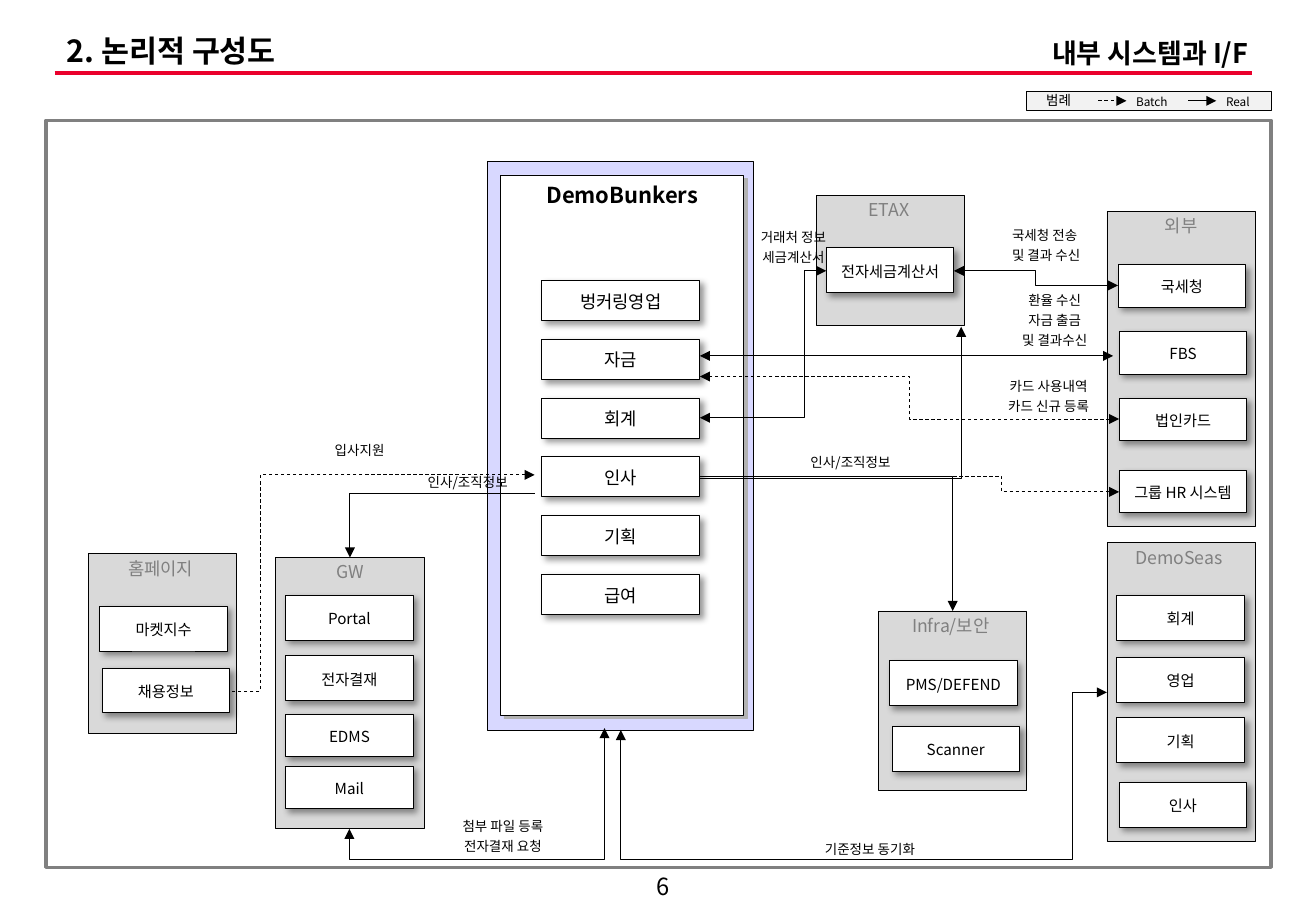
from lxml import etree
from pptx import Presentation, util as u
from pptx.dml.color import RGBColor
from pptx.enum import dml, shapes, text
from pptx.oxml.ns import qn

FONT = "Noto Sans CJK KR"
INK, GREY = "000000", "808080"
SOFT, HARD = (INK, 40, 4, 3), ("B2B2B2", 100, 0, 2.8)

PANELS = [
    ("GW", 2.27, 4.59, 2.23, [("Portal", 2.35, 4.9, .37), ("전자결재", 2.35, 5.4, .37),
                              ("EDMS", 2.35, 5.88, .35), ("Mail", 2.35, 6.31, .35)]),
    ("ETAX ", 6.72, 1.61, 1.07, [("전자세금계산서", 6.8, 2.04, .37)]),
    ("DemoSeas ", 9.11, 4.47, 2.46, [("회계", 9.19, 4.9, .37), ("영업", 9.19, 5.41, .37),
                                     ("기획", 9.19, 5.91, .37), ("인사", 9.21, 6.44, .37)]),
    ("홈페이지 ", .73, 4.56, 1.48, [("마켓지수", .82, 4.99, .37), ("채용정보", .84, 5.5, .37)]),
    ("외부", 9.11, 1.74, 2.59, [("국세청", 9.2, 2.18, .35), ("FBS", 9.21, 2.73, .35),
                              ("법인카드", 9.21, 3.28, .35), ("그룹 HR 시스템", 9.21, 3.87, .35)]),
    ("Infra/보안 ", 7.23, 5.03, 1.48, [("PMS/DEFEND", 7.32, 5.44, .37),
                                     ("Scanner", 7.34, 5.98, .37)]),
]
CORE = ["벙커링영업", "자금", "회계", "인사", "기획", "급여"]
LABELS = [
    (6.62, 6.93, "기준정보 동기화"), (6.46, 3.75, "인사/조직정보"),
    (3.31, 3.91, "인사/조직정보"), (2.42, 3.65, "입사지원"),
    (8.07, 1.88, "국세청 전송 \n및 결과 수신"), (8.14, 2.41, "환율 수신\n자금 출금\n및 결과수신"),
    (8.09, 3.12, "카드 사용내역\n카드 신규 등록"), (5.99, 1.89, "거래처 정보\n세금계산서"),
    (3.6, 6.74, "첨부 파일 등록\n전자결재 요청"),
]
BOTH, TAIL, HEAD = ("headEnd", "tailEnd"), ("tailEnd",), ("headEnd",)
LINKS = [
    ((9.04, .83, 9.27, .83), TAIL, {"dash": True}),
    ((9.78, .83, 10.01, .83), TAIL, {}),
    ((9.11, 5.7, 5.11, 6.01), BOTH, {"bend": 4, "adj": (.07, 4.45)}),
    ((5.76, 2.93, 9.16, 2.93), BOTH, {}),
    ((9.21, 3.45, 5.76, 3.1), BOTH, {"bend": 3, "adj": (.5,), "dash": True}),
    ((5.76, 3.44, 6.8, 2.23), BOTH, {"bend": 3, "adj": (.83,)}),
    ((7.85, 2.23, 9.2, 2.35), BOTH, {"bend": 3, "adj": (.5,)}),
    ((4.4, 4.06, 2.88, 4.59), TAIL, {"bend": 2}),
    ((4.4, 3.91, 1.89, 5.69), HEAD, {"bend": 3, "adj": (.9,), "dash": True}),
    ((4.34, 7.46, 3.51, 5.36), BOTH, {"bend": 3, "adj": (-.3,), "turn": 90}),
    ((5.76, 3.92, 7.84, 5.03), TAIL, {"bend": 2}),
    ((5.76, 3.92, 9.21, 4.05), TAIL, {"bend": 3, "adj": (.72,), "dash": True}),
    ((5.76, 3.94, 7.91, 2.69), TAIL, {"bend": 2}),
]

deck = Presentation()
deck.slide_width, deck.slide_height = u.Inches(10.83), u.Inches(7.5)
page = deck.slides.add_slide(deck.slide_layouts[6])
MID, TOP = text.MSO_ANCHOR.MIDDLE, text.MSO_ANCHOR.TOP
LEFT, CEN, RIGHT = text.PP_ALIGN.LEFT, text.PP_ALIGN.CENTER, text.PP_ALIGN.RIGHT


def tint(code):
    return RGBColor.from_string(code)


def node(base, tag, **vals):
    item = etree.SubElement(base, qn("a:" + tag))
    for key, val in vals.items():
        item.set(key, str(val))
    return item


def write(shape, words, size, hue=INK, bold=False, align=CEN, pad=(0, 0, 0, 0),
          anchor=TOP, lead=.9, gap=0, wrap=True):
    frame = shape.text_frame
    form = dict(zip(("margin_left", "margin_top", "margin_right", "margin_bottom"),
                    map(u.Inches, pad)), word_wrap=wrap, vertical_anchor=anchor)
    for key, val in form.items():
        setattr(frame, key, val)
    frame.text = words
    for para in frame.paragraphs:
        para.alignment, para.line_spacing, para.space_before = align, lead, u.Pt(gap)
        for key, val in dict(name=FONT, size=u.Pt(size), bold=bold).items():
            setattr(para.font, key, val)
        para.font.color.rgb = tint(hue)
        for run in para.runs:
            for tag in ("ea", "cs"):
                node(run._r.get_or_add_rPr(), tag, typeface=FONT)


def note(box, words, size, **form):
    write(page.shapes.add_textbox(*map(u.Inches, box)), words, size, **form)


def rect(box, fill=None, edge=INK, width=.5, shade=None, clear=None):
    shape = page.shapes.add_shape(shapes.MSO_SHAPE.RECTANGLE, *map(u.Inches, box))
    shape.shadow.inherit = False
    shape.line.color.rgb, shape.line.width = tint(edge), u.Pt(width)
    if fill:
        shape.fill.solid()
        shape.fill.fore_color.rgb = tint(fill)
    else:
        shape.fill.background()
    if clear:
        node(shape._element.spPr.find(".//" + qn("a:srgbClr")), "alpha", val=clear * 1000)
    if shade:
        hue, part, blur, dist = shade
        drop = node(shape._element.spPr.find(qn("a:effectLst")), "outerShdw", blurRad=u.Pt(blur),
                    dist=u.Pt(dist), dir=45 * 60000, algn="tl", rotWithShape=0)
        node(node(drop, "srgbClr", val=hue), "alpha", val=part * 1000)
    return shape


def cell(words, box, size):
    write(rect(box, "FFFFFF", shade=SOFT), words, size, pad=(.02, .08, .02, .05), anchor=MID)


def link(ends, tips=(), bend=0, adj=(), dash=False, turn=0, hue=INK, width=.5):
    kind = shapes.MSO_CONNECTOR.ELBOW if bend else shapes.MSO_CONNECTOR.STRAIGHT
    line = page.shapes.add_connector(kind, *map(u.Inches, ends))
    line.line.color.rgb, line.line.width = tint(hue), u.Pt(width)
    if dash:
        line.line.dash_style = dml.MSO_LINE.DASH
    props = line._element.spPr
    for tip in tips:
        node(props.find(qn("a:ln")), tip, type="triangle")
    node(props, "effectLst")
    if turn:
        props.find(qn("a:xfrm")).set("rot", str(turn * 60000))
    if bend:
        geom = props.find(qn("a:prstGeom"))
        geom.set("prst", f"bentConnector{bend}")
        for i, part in enumerate(adj, 1):
            node(geom.find(qn("a:avLst")), "gd", name=f"adj{i}" if bend > 2 else "adj",
                 fmla=f"val {round(part * 100000)}")


def build():
    """Draw the system interface map and save it."""
    edge = (.1, .05, .1, .05)
    note((5.1, 7.14, .71, .31), "6", 14, pad=edge, anchor=MID, lead=1)
    link((.45, .6, 10.3, .6), hue="EA002C", width=2.25)
    note((.45, .25, 9.53, .37), "2. 논리적 구성도", 18, bold=True, align=LEFT, pad=edge, anchor=MID)
    note((7.63, .25, 2.74, .37), "내부 시스템과 I/F", 16, bold=True, align=RIGHT, pad=edge, lead=1)
    rect((.38, .99, 10.08, 6.15), edge=GREY, width=2)
    write(rect((8.45, .75, 2.01, .16), "F2F2F2"), "범례", 8, align=LEFT,
          pad=(.16, .08, .02, .08), anchor=MID)
    for left, wide, words in ((9.35, .26, "Batch"), (10.09, .2, "Real")):
        note((left, .77, wide, .12), words, 7, align=LEFT, lead=1.05, wrap=False)
    for name, left, top, high, cells in PANELS:
        write(rect((left, top, 1.22, high), "D9D9D9"), name, 10.5, GREY, pad=(.02, .05, .02, .05))
        for words, x, y, tall in cells:
            cell(words, (x, y, 1.05, tall), 9)
    rect((4.01, 1.33, 2.19, 4.68), "CCCCFF", clear=76)
    write(rect((4.12, 1.44, 2, 4.45), "FFFFFF", shade=HARD), "DemoBunkers", 13, bold=True,
          pad=(.02, .08, .02, .05))
    for i, words in enumerate(CORE):
        cell(words, (4.46, 2.31 + .484 * i, 1.3, .33), 10.5)
    for ends, tips, form in LINKS:
        link(ends, tips, **form)
    for left, top, words in LABELS:
        rows = words.count("\n")
        note((left, top, 1.08, .13 + .17 * rows), words, 8, lead=u.Pt(9), gap=2.8)
    deck.save("out.pptx")


build()
